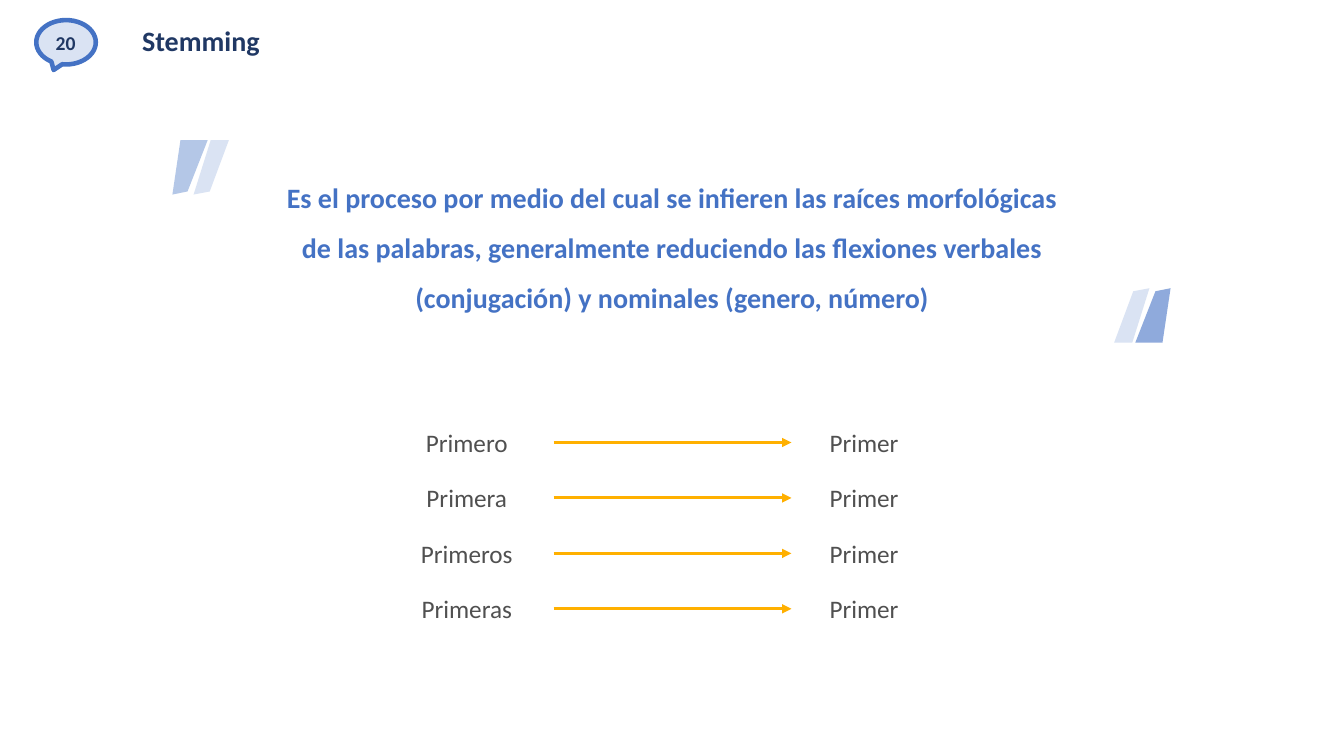
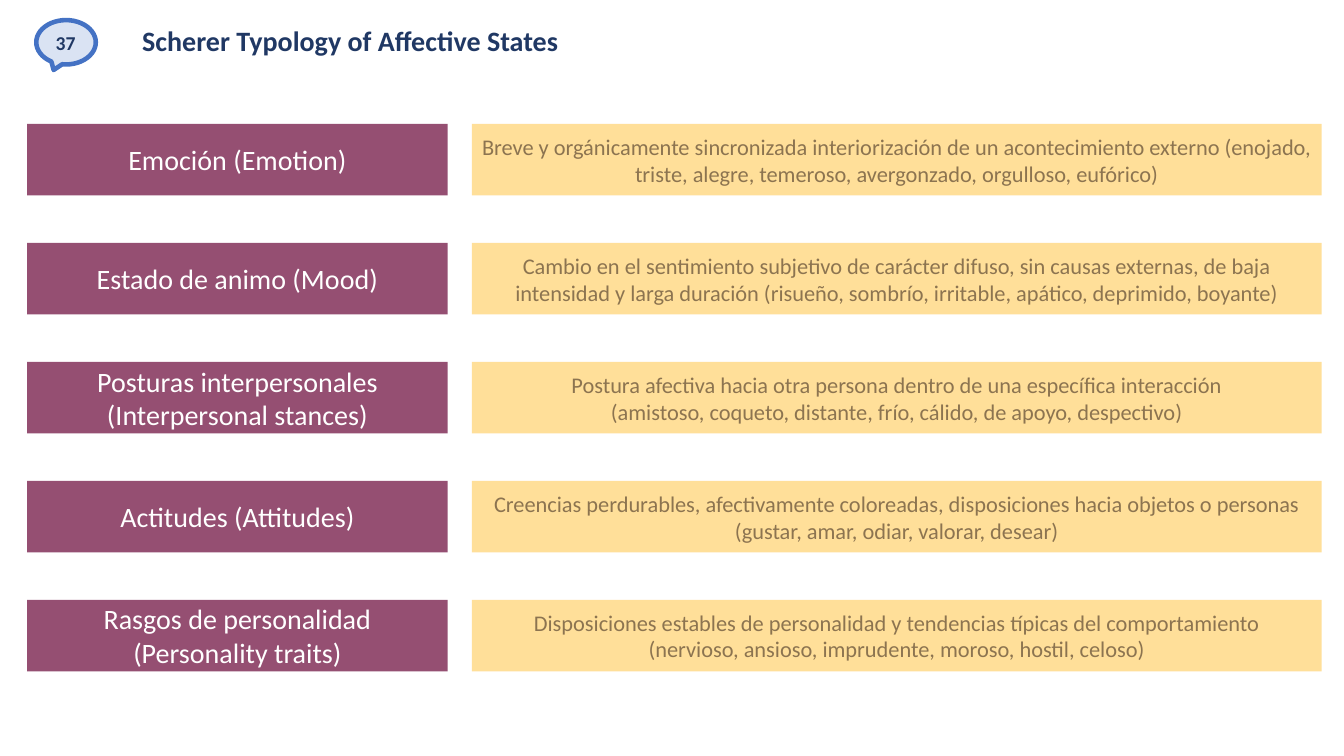
from pptx import Presentation
from pptx.dml.color import RGBColor
from pptx.enum.shapes import MSO_CONNECTOR, MSO_SHAPE
from pptx.enum.text import MSO_ANCHOR, MSO_AUTO_SIZE, PP_ALIGN
from pptx.oxml.ns import qn
from pptx.util import Inches, Pt
from lxml.etree import SubElement

FONT = "Calibri"
NAVY = RGBColor(0x20, 0x38, 0x64)
BLUE = RGBColor(0x44, 0x72, 0xC4)
MID_BLUE = RGBColor(0x8F, 0xAA, 0xDC)
SOFT_BLUE = RGBColor(0xB4, 0xC7, 0xE7)
PALE_BLUE = RGBColor(0xDA, 0xE3, 0xF3)
GRAY = RGBColor(0x50, 0x50, 0x50)
AMBER = RGBColor(0xFF, 0xB0, 0x00)
CREAM = RGBColor(0xFF, 0xDF, 0x99)
BROWN = RGBColor(0x8C, 0x74, 0x50)
PLUM = RGBColor(0x95, 0x4F, 0x72)
WHITE = RGBColor(0xFF, 0xFF, 0xFF)

# Content
DEFINITION = (
    "Es el proceso por medio del cual se infieren las raíces morfológicas "
    "de las palabras, generalmente reduciendo las flexiones verbales "
    "(conjugación) y nominales (genero, número)"
)
STEMS = [
    ("Primero", "Primer"),
    ("Primera", "Primer"),
    ("Primeros", "Primer"),
    ("Primeras", "Primer"),
]
AFFECTIVE_STATES = [
    ("Emoción (Emotion)",
     "Breve y orgánicamente sincronizada interiorización de un acontecimiento externo "
     "(enojado, triste, alegre, temeroso, avergonzado, orgulloso, eufórico)"),
    ("Estado de animo (Mood)",
     "Cambio en el sentimiento subjetivo de carácter difuso, sin causas externas, de baja "
     "intensidad y larga duración (risueño, sombrío, irritable, apático, deprimido, boyante)"),
    ("Posturas interpersonales (Interpersonal stances)",
     "Postura afectiva hacia otra persona dentro de una específica interacción\n"
     "(amistoso, coqueto, distante, frío, cálido, de apoyo, despectivo)"),
    ("Actitudes (Attitudes)",
     "Creencias perdurables, afectivamente coloreadas, disposiciones hacia objetos o personas "
     "(gustar, amar, odiar, valorar, desear)"),
    ("Rasgos de personalidad (Personality traits)",
     "Disposiciones estables de personalidad y tendencias típicas del comportamiento\n"
     "(nervioso, ansioso, imprudente, moroso, hostil, celoso)"),
]

# Opening quotation strokes; the closing ones are their half-turn
PALE_STROKE = [(1.92, 1.93), (2.09, 1.39), (2.27, 1.39), (2.08, 1.9)]
DARK_STROKE = [(1.71, 1.93), (1.79, 1.39), (2.06, 1.39), (1.86, 1.9)]
TURN_X, TURN_Y = 13.32, 4.79


def write_text(shape, text, size=18, color=GRAY, bold=False,
               align=PP_ALIGN.CENTER, anchor=MSO_ANCHOR.MIDDLE, spacing=None):
    frame = shape.text_frame
    frame.word_wrap = True
    frame.auto_size = MSO_AUTO_SIZE.NONE
    frame.vertical_anchor = anchor
    frame.text = text
    for para in frame.paragraphs:
        para.alignment = align
        if spacing:
            para.line_spacing = spacing
        for span in para.runs:
            span.font.name = FONT
            span.font.size = Pt(size)
            span.font.bold = bold
            span.font.color.rgb = color


def add_text(page, place, text, **style):
    box = page.shapes.add_textbox(*map(Inches, place))
    write_text(box, text, **style)
    return box


def paint(shape, fill):
    shape.shadow.inherit = False
    shape.fill.solid()
    shape.fill.fore_color.rgb = fill
    shape.line.fill.background()


def add_block(page, kind, place, fill):
    block = page.shapes.add_shape(kind, *map(Inches, place))
    paint(block, fill)
    return block


def add_stroke(page, points, fill):
    start, *rest = [(Inches(x), Inches(y)) for x, y in points]
    builder = page.shapes.build_freeform(*start)
    builder.add_line_segments(rest, close=True)
    paint(builder.convert_to_shape(), fill)


def half_turn(points):
    return [(TURN_X - x, TURN_Y - y) for x, y in points]


def add_arrow(page, left, middle, target):
    arrow = page.shapes.add_connector(
        MSO_CONNECTOR.STRAIGHT, Inches(left), Inches(middle), target.left, Inches(middle))
    arrow.end_connect(target, 1)
    arrow.line.color.rgb = AMBER
    arrow.line.width = Pt(2.25)
    SubElement(arrow.line._get_or_add_ln(), qn("a:tailEnd"), type="triangle")
    SubElement(arrow._element.spPr, qn("a:effectLst"))


def add_page(deck, title, number):
    """Add a slide with the shared title and numbered speech bubble."""
    page = deck.slides.add_slide(deck.slide_layouts[5])
    heading = page.shapes.title
    heading.left, heading.top = Inches(1.31), Inches(0.22)
    heading.width, heading.height = Inches(10.77), Inches(0.42)
    write_text(heading, title, size=20, color=NAVY, bold=True,
               align=PP_ALIGN.LEFT, spacing=0.85)
    bubble = add_block(page, MSO_SHAPE.OVAL_CALLOUT, (0.36, 0.2, 0.59, 0.44), PALE_BLUE)
    bubble.line.color.rgb = BLUE
    bubble.line.width = Pt(3.25)
    add_text(page, (0.24, 0.17, 0.82, 0.5), str(number), size=14, color=NAVY, bold=True)
    return page


def build_stemming(deck):
    page = add_page(deck, "Stemming", 20)

    # Quoted definition
    add_text(page, (2.63, 1.31, 8.07, 2.12), DEFINITION,
             size=20, color=BLUE, bold=True, spacing=1.5)
    add_stroke(page, PALE_STROKE, PALE_BLUE)
    add_stroke(page, DARK_STROKE, SOFT_BLUE)
    add_stroke(page, half_turn(PALE_STROKE), PALE_BLUE)
    add_stroke(page, half_turn(DARK_STROKE), MID_BLUE)

    # Words and their stems
    width, height, step = 1.44, 0.4, 0.55
    for row, (word, stem) in enumerate(STEMS):
        top = 4.19 + row * step
        add_text(page, (3.91, top, width, height), word, anchor=MSO_ANCHOR.TOP)
        target = add_text(page, (7.85, top, width, height), stem, anchor=MSO_ANCHOR.TOP)
        add_arrow(page, 5.49, top + height / 2, target)


def build_typology(deck):
    page = add_page(deck, "Scherer Typology of Affective States", 37)

    # One row per affective state
    height, step = 0.71, 1.18
    for row, (state, meaning) in enumerate(AFFECTIVE_STATES):
        top = 1.23 + row * step
        label = add_block(page, MSO_SHAPE.RECTANGLE, (0.27, top, 4.17, height), PLUM)
        write_text(label, state, size=20, color=WHITE)
        detail = add_block(page, MSO_SHAPE.RECTANGLE, (4.68, top, 8.43, height), CREAM)
        write_text(detail, meaning, size=16, color=BROWN)


def main():
    deck = Presentation()
    deck.slide_width, deck.slide_height = Inches(13.33), Inches(7.5)
    build_stemming(deck)
    build_typology(deck)
    deck.save("out.pptx")


if __name__ == "__main__":
    main()
